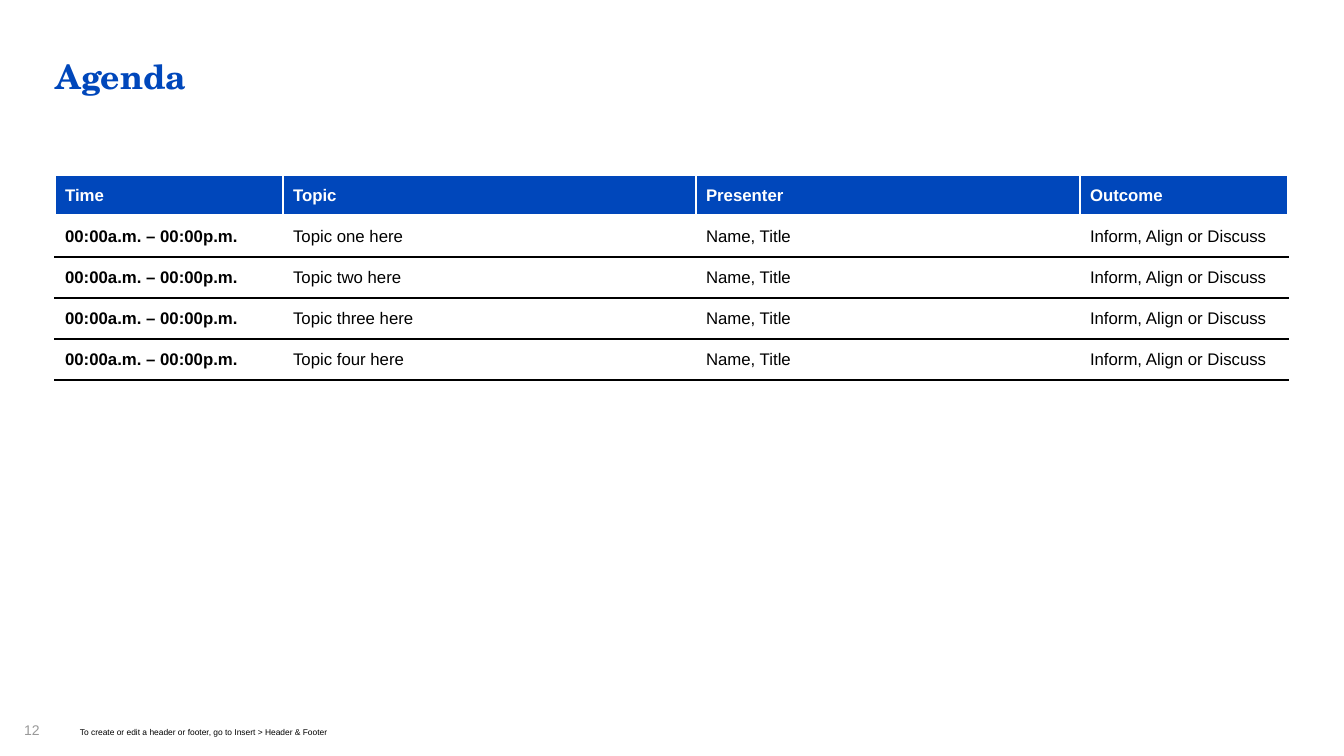
from lxml import etree
from pptx import Presentation
from pptx import util as u
from pptx.dml.color import RGBColor
from pptx.enum import text
from pptx.oxml.ns import qn

PX = u.Inches(1) / 100.8
BLUE = RGBColor(0x00, 0x47, 0xBB)
WHITE = RGBColor(0xFF, 0xFF, 0xFF)
BLACK = RGBColor(0x00, 0x00, 0x00)
GRAY = RGBColor(0x99, 0x99, 0x99)

HEADERS = ["Time", "Topic", "Presenter", "Outcome"]
TOPICS = ["one", "two", "three", "four"]
COLUMN_WIDTHS = [228, 413, 384, 208]
ROW_HEIGHT = 41


def px(n):
    return u.Emu(round(n * PX))


def place(sp, left, top, width, height):
    sp.left, sp.top, sp.width, sp.height = map(px, (left, top, width, height))


def style(p, size, color, bold=False, name="Arial"):
    p.font.size = u.Pt(size)
    p.font.color.rgb = color
    p.font.bold = bold
    p.font.name = name


def fill_frame(tf, words, size, color, **font):
    """Write one line of text in a frame without margins."""
    tf.margin_left = tf.margin_top = tf.margin_right = tf.margin_bottom = 0
    tf.word_wrap = True
    tf.auto_size = text.MSO_AUTO_SIZE.NONE
    tf.vertical_anchor = text.MSO_ANCHOR.TOP
    p = tf.paragraphs[0]
    p.text = words
    p.alignment = text.PP_ALIGN.LEFT
    p.line_spacing = 0.9
    style(p, size, color, **font)


def add_label(slide, box, words, size, color):
    sp = slide.shapes.add_textbox(*map(px, box))
    fill_frame(sp.text_frame, words, size, color)


def add_border(cell, side, color, width):
    ln = etree.SubElement(cell._tc.get_or_add_tcPr(), qn(f"a:ln{side}"),
                          w=str(u.Pt(width)))
    fill = etree.SubElement(ln, qn("a:solidFill"))
    etree.SubElement(fill, qn("a:srgbClr"), val=str(color))


def format_cell(cell, words, row, col):
    header = row == 0
    cell.text = words
    cell.vertical_anchor = text.MSO_ANCHOR.MIDDLE
    style(cell.text_frame.paragraphs[0], 12, WHITE if header else BLACK,
          bold=header or col == 0)
    # Neighbouring rows share the rule between them.
    rules = [(WHITE, 1), (WHITE, 3)] + [(BLACK, 1)] * len(TOPICS)
    add_border(cell, "L", WHITE, 1)
    add_border(cell, "R", WHITE, 1)
    add_border(cell, "T", *rules[row])
    add_border(cell, "B", *rules[row + 1])
    cell.fill.solid()
    cell.fill.fore_color.rgb = BLUE if header else WHITE


def add_agenda(slide, left, top):
    rows = [HEADERS] + [
        ["00:00a.m. – 00:00p.m.", f"Topic {topic} here", "Name, Title",
         "Inform, Align or Discuss"] for topic in TOPICS]
    table = slide.shapes.add_table(
        len(rows), len(HEADERS), px(left), px(top),
        px(sum(COLUMN_WIDTHS)), px(ROW_HEIGHT * len(rows))).table
    for column, width in zip(table.columns, COLUMN_WIDTHS):
        column.width = px(width)
    for r, values in enumerate(rows):
        table.rows[r].height = px(ROW_HEIGHT)
        for c, words in enumerate(values):
            format_cell(table.cell(r, c), words, r, c)


def main():
    prs = Presentation()
    prs.slide_width, prs.slide_height = px(1344), px(756)
    slide = prs.slides.add_slide(prs.slide_layouts[5])
    title = slide.shapes.title
    place(title, 55, 60, 1233, 103)
    fill_frame(title.text_frame, "Agenda", 24, BLUE, bold=True,
               name="TeX Gyre Schola")
    add_agenda(slide, 55, 175)
    add_label(slide, (24, 723, 26, 33), "12", 10, GRAY)
    add_label(slide, (80, 728, 486, 28),
              "To create or edit a header or footer, go to Insert > Header & Footer",
              6, BLACK)
    prs.save("out.pptx")


if __name__ == "__main__":
    main()
